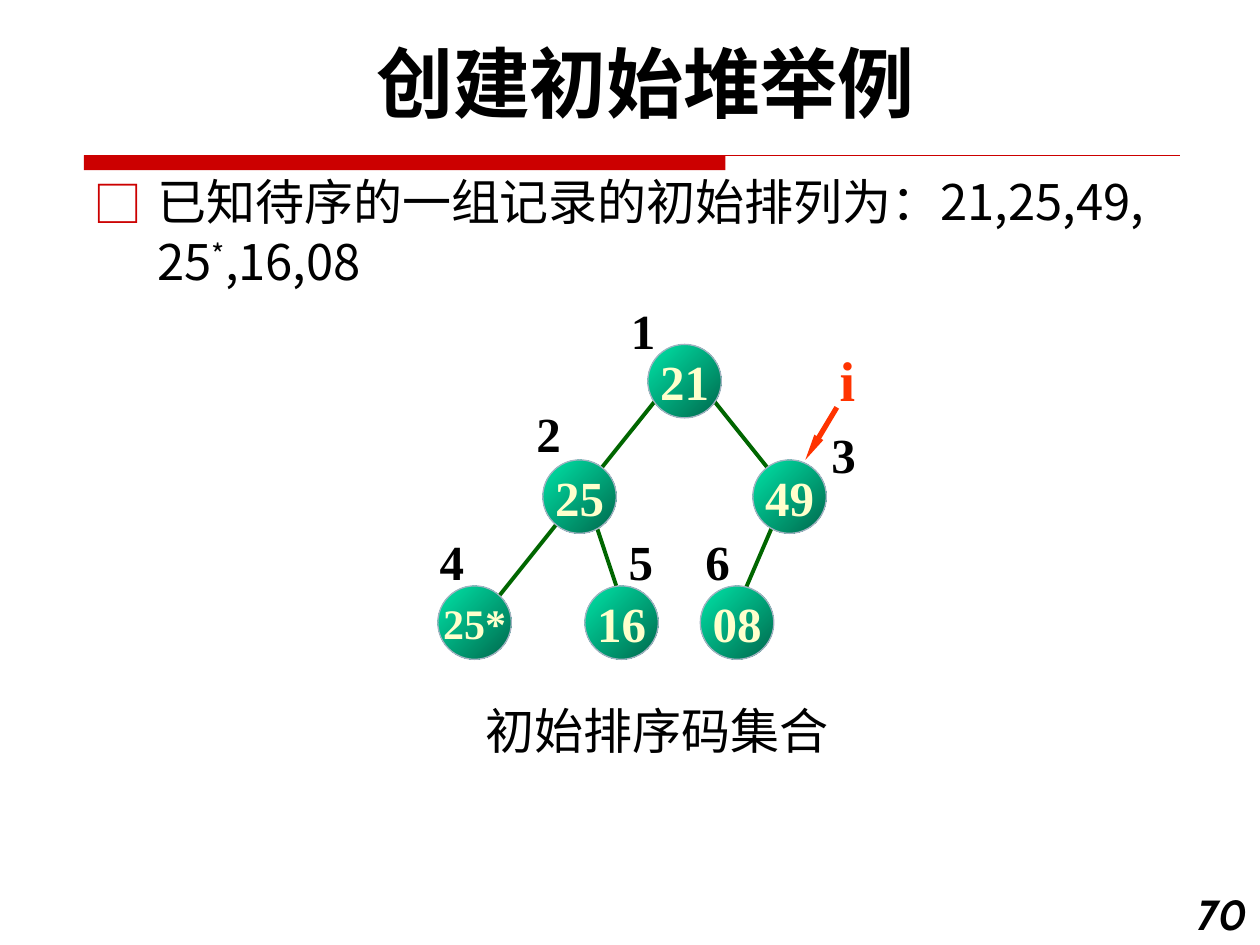
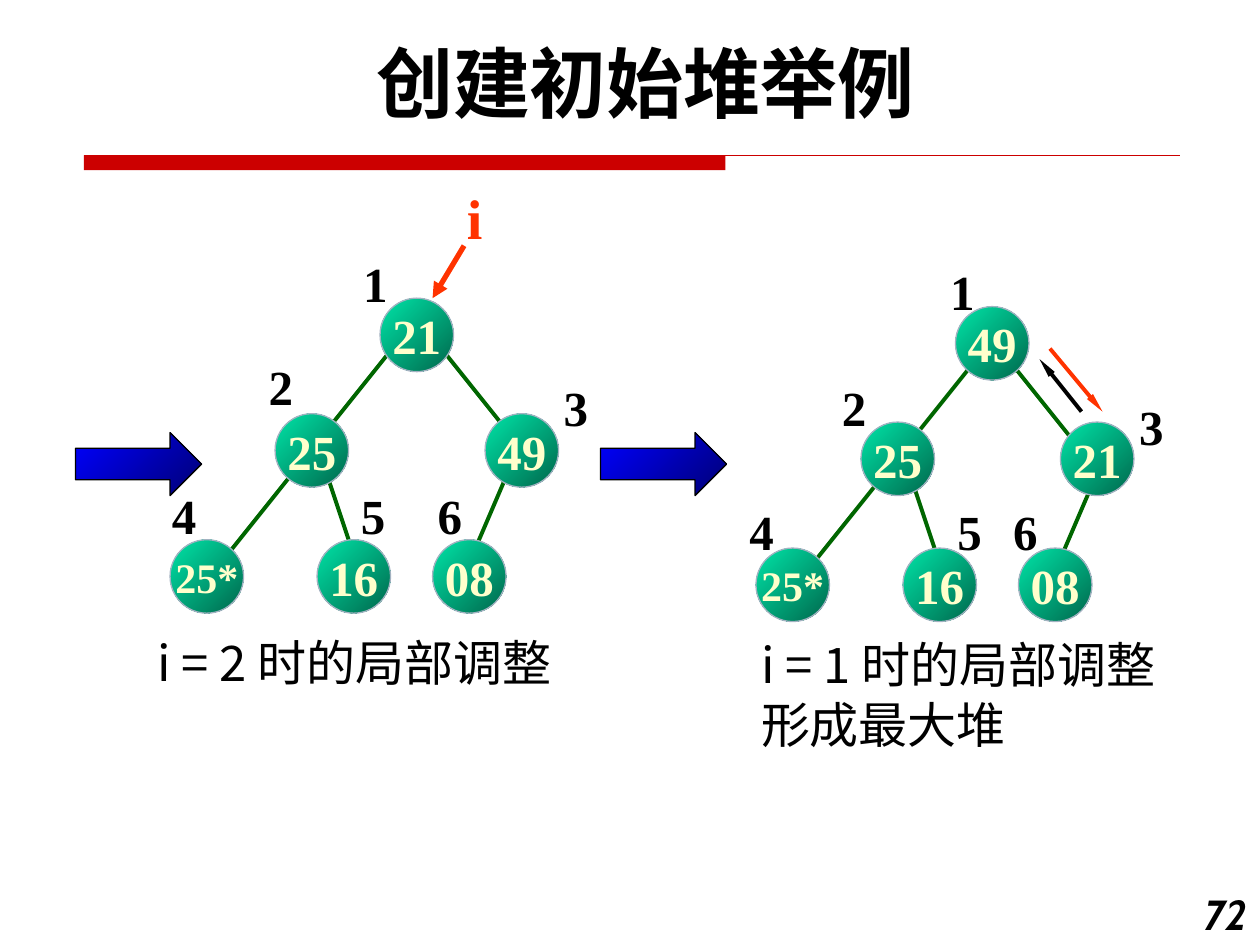
"""Build two slides that show how an initial heap is made."""
from lxml import etree
from pptx import Presentation
from pptx.dml.color import RGBColor
from pptx.enum.shapes import MSO_CONNECTOR, MSO_SHAPE
from pptx.enum.text import MSO_ANCHOR, MSO_AUTO_SIZE, PP_ALIGN
from pptx.oxml.ns import qn
from pptx.util import Inches, Pt

COLUMNS, ROWS = 120, 90
TITLE_ONLY = 5
STRAIGHT = MSO_CONNECTOR.STRAIGHT
OVAL, RECTANGLE, RIGHT_ARROW = MSO_SHAPE.OVAL, MSO_SHAPE.RECTANGLE, MSO_SHAPE.RIGHT_ARROW
TOP, MIDDLE = MSO_ANCHOR.TOP, MSO_ANCHOR.MIDDLE
LEFT, CENTER, RIGHT = PP_ALIGN.LEFT, PP_ALIGN.CENTER, PP_ALIGN.RIGHT
NO_FIT = MSO_AUTO_SIZE.NONE

BLACK, RED, ORANGE, GREEN = "000000", "CC0000", "FF3300", "006600"
CREAM, NODE_LINE = "FFFFCC", "A3B2C1"
NODE_GRADIENT = ("00E4A8", "00684C")
ARROW_GRADIENT = ("0000FF", "000076")

CJK, SERIF, SANS = "Noto Sans CJK SC", "Times New Roman", "Cabin"
TITLE_FONT = {"name": SANS, "size": Pt(44), "bold": True}
NUMBER_FONT = {"name": SANS, "size": Pt(24), "bold": True, "italic": True}
BODY_FONT = {"name": CJK, "size": Pt(28), "bold": False}
LABEL_FONT = {"name": SERIF, "size": Pt(28), "bold": True}
LONG_KEY_FONT = {**LABEL_FONT, "size": Pt(24)}
POINTER_FONT = {**LABEL_FONT, "size": Pt(32)}
BODY_LINE = Pt(34)

NODE = 7
NODE_OFFSETS = [(0, 0), (-10, 11), (10, 11), (-20, 23), (-6, 23), (5, 23)]
EDGES = {6: ((7, -6), (4, 1)), 5: ((1, -6), (3, 0)),
         3: ((-4, -6), (4, 4)), 4: ((21, -18), (5, 2))}
WIDE_LABELS = [(-2.8, -4.8), (-11.8, 5), (16.3, 7), (-21, 17.2), (-3, 17.2), (4.3, 17.2)]
NARROW_LABELS = [(-1.7, -4.9), (-12, 6.2), (16.3, 8), (-20.8, 18), (-1, 18), (4.3, 18)]
TITLE = "创建初始堆举例"


def color(value):
    """Turn a hex string into a colour."""
    return RGBColor.from_string(value)


class HeapDeck:
    """Hold the shared style and the slide being drawn."""

    def __init__(self):
        """Open an empty presentation with its grid."""
        self.presentation = Presentation()
        self.presentation.slide_width = Inches(10)
        self.presentation.slide_height = Inches(7.5)
        self.slide = self.shapes = None

    def grid(self, *lengths):
        """Turn alternating columns and rows into slide lengths."""
        units = (self.presentation.slide_width / COLUMNS, self.presentation.slide_height / ROWS)
        return [round(length * units[index % 2]) for index, length in enumerate(lengths)]

    def start(self, title, number):
        """Add a slide with its title, red rule and number."""
        layout = self.presentation.slide_layouts[TITLE_ONLY]
        self.slide = self.presentation.slides.add_slide(layout)
        self.shapes = self.slide.shapes
        heading = self.shapes.title
        places = zip(("left", "top", "width", "height"), self.grid(6, 2.8, 111, 10))
        for name, value in places:
            setattr(heading, name, value)
        self.fill_text(heading, [title], TITLE_FONT, BLACK, align=CENTER, anchor=MIDDLE)
        self.shape(RECTANGLE, (8, 14.8, 61.1, 1.4), (RED,))
        self.line((8, 14.8), (112.4, 14.8), RED, 0.75)
        self.text((112, 84, 8, 6), [number], NUMBER_FONT, align=RIGHT)

    def fill_text(self, shape, lines, font, ink, align=LEFT, anchor=TOP, wrap=True, spacing=None):
        """Fill a shape with one paragraph for each line."""
        frame = shape.text_frame
        for name, value in {"word_wrap": wrap, "auto_size": NO_FIT,
                            "vertical_anchor": anchor}.items():
            setattr(frame, name, value)
        for index, line in enumerate(lines):
            paragraph = frame.add_paragraph() if index else frame.paragraphs[0]
            paragraph.alignment = align
            if spacing:
                paragraph.line_spacing = spacing
            self.add_words(paragraph, line, font, ink)

    def add_words(self, paragraph, words, font, ink):
        """Add a formatted run to a paragraph."""
        run = paragraph.add_run()
        run.text = words
        for name, value in font.items():
            setattr(run.font, name, value)
        run.font.color.rgb = color(ink)
        properties = run._r.get_or_add_rPr()
        etree.SubElement(properties, qn("a:ea"), typeface=CJK)
        return properties

    def text(self, place, lines, font=LABEL_FONT, ink=BLACK, **options):
        """Add a text box."""
        box = self.shapes.add_textbox(*self.grid(*place))
        self.fill_text(box, lines, font, ink, **options)
        return box

    def caption(self, column, row, *lines):
        """Add a caption below a tree."""
        self.text((column, row, 45, 6.8 * len(lines)), lines, BODY_FONT, spacing=BODY_LINE)

    def bullet(self, place, parts):
        """Add a bulleted statement whose second part is raised."""
        box = self.text(place, [parts[0]], BODY_FONT, spacing=BODY_LINE)
        paragraph = box.text_frame.paragraphs[0]
        properties = paragraph._p.get_or_add_pPr()
        indent = Inches(0.51)
        properties.set("marL", str(indent))
        properties.set("indent", str(-indent))
        bullet_color = etree.SubElement(properties, qn("a:buClr"))
        etree.SubElement(bullet_color, qn("a:srgbClr"), val=RED)
        etree.SubElement(properties, qn("a:buFont"), typeface=CJK)
        etree.SubElement(properties, qn("a:buChar"), char="□")
        self.add_words(paragraph, parts[1], BODY_FONT, BLACK).set("baseline", "30000")
        self.add_words(paragraph, parts[2], BODY_FONT, BLACK)

    def shape(self, kind, place, fills, outline=None):
        """Add a preset shape with a plain or two-colour fill."""
        shape = self.shapes.add_shape(kind, *self.grid(*place))
        shape.shadow.inherit = False
        if len(fills) == 1:
            shape.fill.solid()
            shape.fill.fore_color.rgb = color(fills[0])
        else:
            shape.fill.gradient()
            shape.fill.gradient_angle = 315
            for position, (stop, fill) in enumerate(zip(shape.fill.gradient_stops, fills)):
                stop.position = position
                stop.color.rgb = color(fill)
        if outline:
            shape.line.color.rgb = color(outline)
            shape.line.width = Pt(0.75)
        else:
            shape.line.fill.background()
        return shape

    def line(self, start, end, ink, width, head=None):
        """Add a line, with an arrowhead of a given width and length."""
        connector = self.shapes.add_connector(STRAIGHT, *self.grid(*start, *end))
        connector.line.color.rgb = color(ink)
        connector.line.width = Pt(width)
        properties = connector._element.spPr
        if head:
            etree.SubElement(properties.find(qn("a:ln")), qn("a:tailEnd"),
                             type="triangle", w=head[0], len=head[1])
        etree.SubElement(properties, qn("a:effectLst"))

    def tree(self, root, keys, labels, shift=0, pointed=None, head=("med", "med"), swap=False):
        """Draw a heap tree; shift moves the left branch and node 6 inwards."""
        self.shapes = self.slide.shapes.add_group_shape().shapes
        column, row = root
        nodes = [(column + x + (0 if number in (1, 3) else shift), row + y)
                 for number, (x, y) in enumerate(NODE_OFFSETS, 1)]
        for number, ends in EDGES.items():
            x, y = nodes[number - 1]
            x -= shift if number == 3 else 0
            start, end = [(x + across, y + down) for across, down in ends]
            self.line(start, end, GREEN, 2.25)
        for (x, y), key in zip(nodes, keys):
            oval = self.shape(OVAL, (x, y, NODE, NODE), NODE_GRADIENT, NODE_LINE)
            font = LONG_KEY_FONT if len(key) > 2 else LABEL_FONT
            self.fill_text(oval, [key], font, CREAM, align=CENTER, anchor=MIDDLE, wrap=False)
        for number, (x, y) in enumerate(labels, 1):
            self.text((column + x, row + y, 4.8, 6.8), [str(number)], wrap=False)
        if pointed:
            x, y = nodes[pointed - 1]
            self.line((x + 8, y - 5), (x + 5, y), ORANGE, 3, head)
            self.text((x + 7.1, y - 11.5, 3.8, 7.6), ["i"], POINTER_FONT, ORANGE, wrap=False)
        if swap:
            for ink, start, end in ((BLACK, (12, 10), (8, 5)), (ORANGE, (9, 4), (14, 10))):
                self.line((column + start[0], row + start[1]),
                          (column + end[0], row + end[1]), ink, 2.25, ("sm", "lg"))
        self.shapes = self.slide.shapes


def main():
    """Build and save both slides."""
    deck = HeapDeck()
    first_keys = ["21", "25", "49", "25*", "16", "08"]
    heap_keys = ["49", "25", "21", "25*", "16", "08"]

    deck.start(TITLE, "70")
    deck.bullet((7.7, 15.7, 112, 13), ("已知待序的一组记录的初始排列为：21,25,49, 25", "*", ",16,08"))
    deck.tree((61.7, 32.8), first_keys, WIDE_LABELS, pointed=3, head=("sm", "lg"))
    deck.caption(45.1, 66.1, "初始排序码集合")

    deck.start(TITLE, "72")
    deck.tree((36.2, 28.4), first_keys, WIDE_LABELS, pointed=1)
    for column in (7.2, 57.2):
        deck.shape(RIGHT_ARROW, (column, 41.2, 12, 6), ARROW_GRADIENT, BLACK)
    deck.caption(13.8, 59.6, "i = 2 时的局部调整")
    deck.caption(71.3, 59.8, "i = 1 时的局部调整", "形成最大堆")
    deck.tree((91, 29.2), heap_keys, NARROW_LABELS, shift=1, swap=True)

    deck.presentation.save("out.pptx")


if __name__ == "__main__":
    main()
